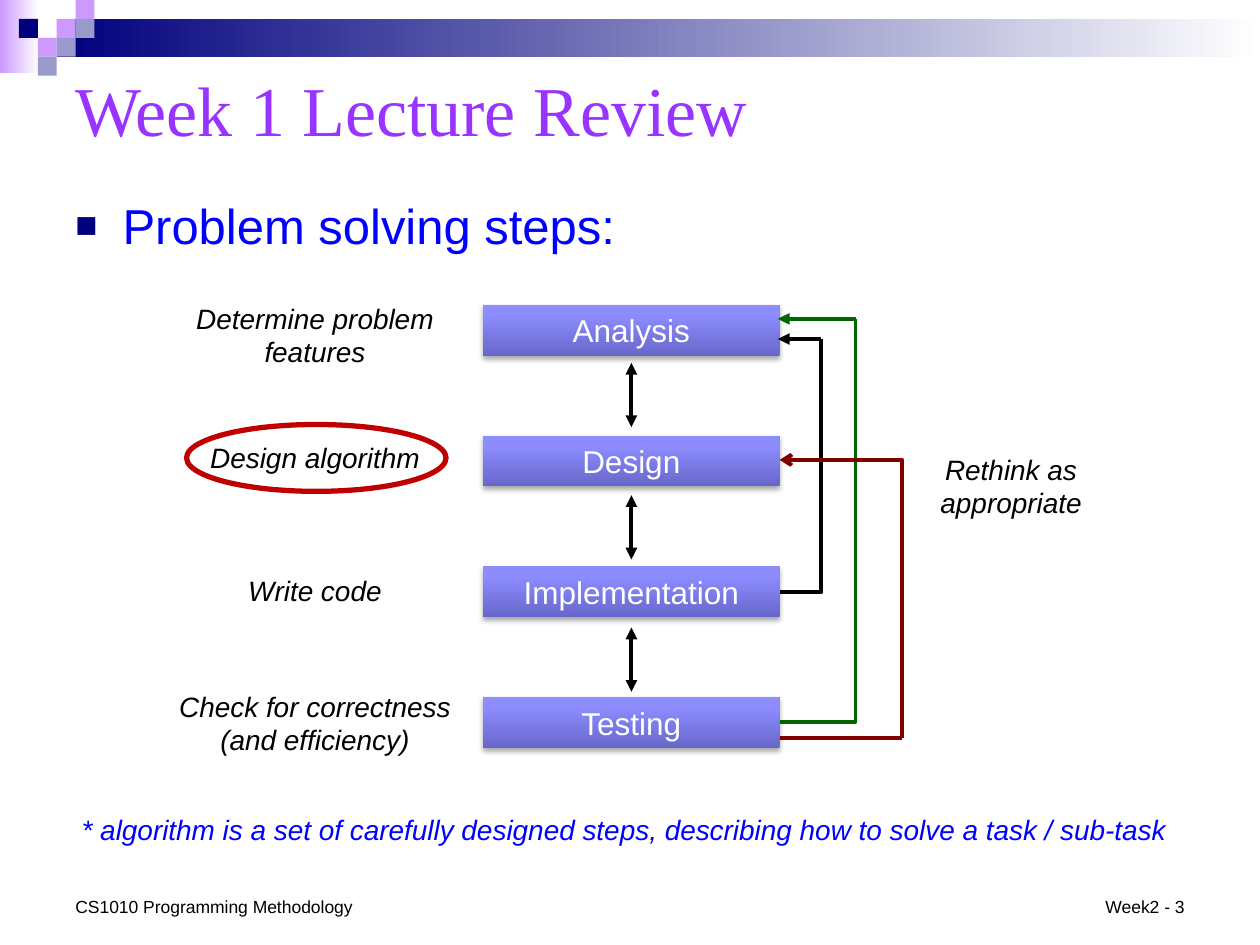
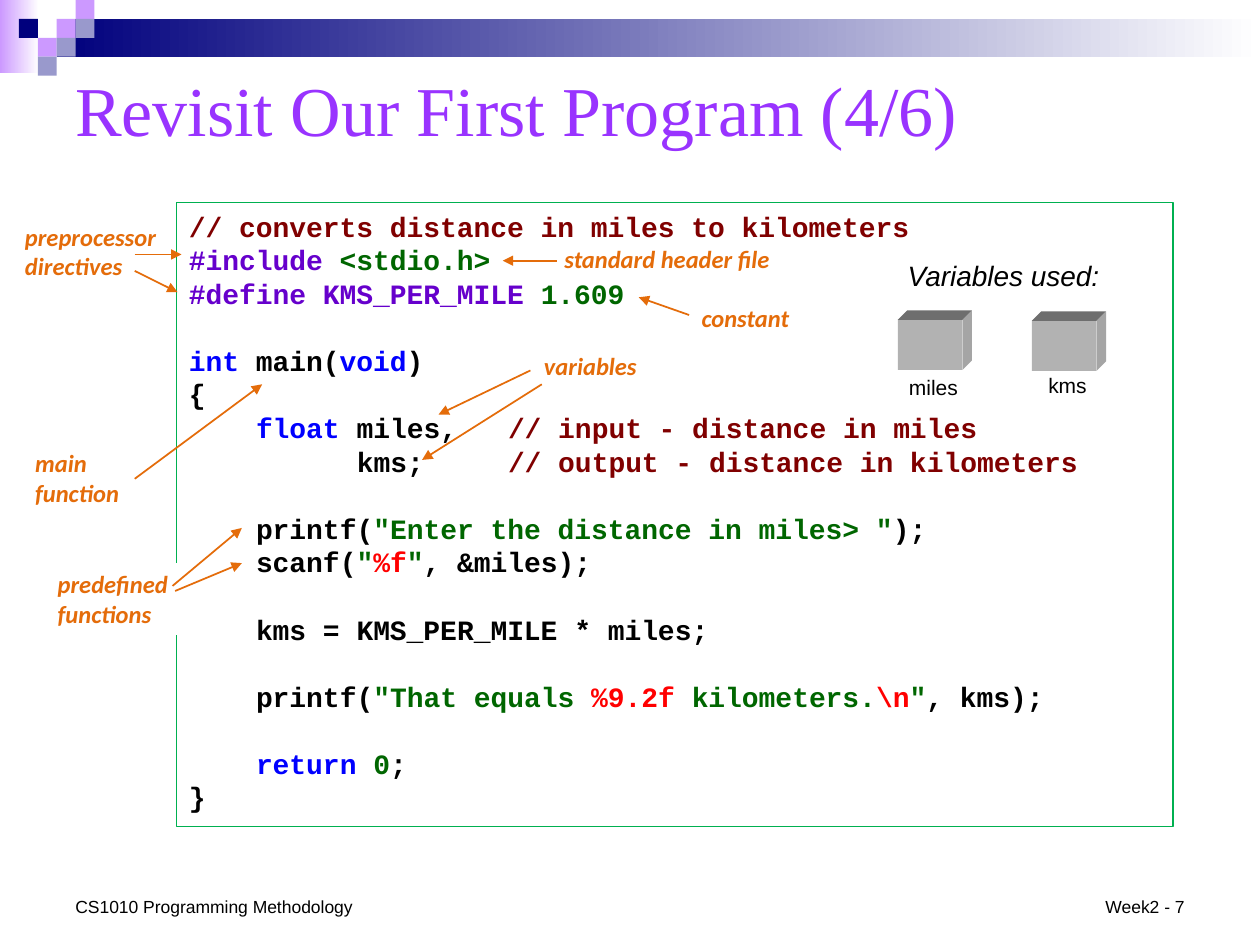
import lxml.etree
import pptx
import pptx.dml.color
import pptx.enum.shapes
import pptx.enum.text
import pptx.oxml.ns
import pptx.util

Pt = pptx.util.Pt
qn = pptx.oxml.ns.qn
KIND = pptx.enum.shapes.MSO_SHAPE
LINK = pptx.enum.shapes.MSO_CONNECTOR
ALIGN = pptx.enum.text.PP_ALIGN
ANCHOR = pptx.enum.text.MSO_ANCHOR

HUES = {
    "black": "000000", "white": "FFFFFF", "navy": "00007D", "lilac": "CC99FF",
    "steel": "9999CC", "title": "9933FF", "blue": "0000FF", "deep": "6767CA",
    "pale": "8C8CFF", "green": "006600", "maroon": "800000", "ring": "C00000",
    "frame": "00B050", "orange": "E46C0A", "purple": "6600CC", "red": "FF0000",
    "front": "B2B2B2", "top": "6E6E6E", "side": "A5A5A5",
}
TILES = [
    (3, 1, "lilac"), (4, 0, "lilac"), (4, 1, "steel"), (2, 2, "lilac"),
    (1, 1, "navy"), (3, 2, "steel"), (2, 3, "steel"),
]
STEPS = [
    ("Analysis", "Determine problem features", 0.5),
    ("Design", "Design algorithm", 80.4),
    ("Implementation", "Write code", 156),
    ("Testing", "Check for correctness (and efficiency)", 222.2),
]
CHAR = 9.6
LINE = 19.2
STOPS = (4, 10, 19)
CODE = [
    [[("maroon", "// converts distance in miles to kilometers")],
     [("purple", "#include "), ("green", "<stdio.h>")],
     [("purple", "#define KMS_PER_MILE "), ("green", "1.609")]],
    [[("blue", "int "), ("black", "main("), ("blue", "void"), ("black", ")")],
     [("black", "{")],
     [("blue", "\tfloat"), ("black", " miles,\t"),
      ("maroon", "// input - distance in miles")],
     [("black", "\t\tkms;\t"), ("maroon", "// output - distance in kilometers")]],
    [[("black", "\tprintf("), ("green", '"Enter the distance in miles> "'),
      ("black", ");")],
     [("black", "\tscanf("), ("green", '"'), ("red", "%f"), ("green", '"'),
      ("black", ", &miles);")]],
    [[("black", "\tkms = KMS_PER_MILE * miles;")]],
    [[("black", "\tprintf("), ("green", '"That equals '), ("red", "%9.2f "),
      ("green", "kilometers."), ("red", "\\n"), ("green", '"'),
      ("black", ", kms);")]],
    [[("blue", "\treturn "), ("green", "0"), ("black", ";")],
     [("black", "}")]],
]
NOTES = [
    ("preprocessor directives", (-93.6, 7.2, 96.5, 41),
     [(-23.8, 38.9, 0.7, 51.1), (-23.8, 29.5, 2.9, 29.5)]),
    ("standard header file", (214.6, 20.2, 137.5, 25),
     [(217.4, 33.1, 186.5, 33.1)]),
    ("constant", (293, 54, 70, 25), [(293, 64.1, 264.2, 54)]),
    ("main function", (-87.8, 136.8, 64, 41), [(-23.8, 157.7, 49, 103.7)]),
    ("variables", (203, 81.4, 78, 25),
     [(202.3, 95.8, 149.8, 121), (208.8, 103.7, 140.4, 146.9)]),
    ("predefined functions", (-74.9, 205.9, 79.2, 41),
     [(-2.2, 218.9, 37.4, 185.8), (-0.7, 221.8, 37.4, 205.9)]),
]


def hue(name):
    return pptx.dml.color.RGBColor.from_string(HUES[name])


def shift(box, x, y, w, h):
    return box[0] + x, box[1] + y, w, h


def style(para, size, color=None, face="Arial", bold=False, slant=False):
    font = para.font
    font.size, font.name, font.bold, font.italic = Pt(size), face, bold, slant
    if color:
        font.color.rgb = hue(color)


def lead(para, tag, **attrs):
    item = lxml.etree.Element(qn(tag), attrs)
    para.font
    para._p.pPr.find(qn("a:defRPr")).addprevious(item)
    return item


def put(shape, text, size, color, align=ALIGN.LEFT, anchor=ANCHOR.TOP, **look):
    frame = shape.text_frame
    frame.word_wrap = True
    frame.vertical_anchor = anchor
    para = frame.paragraphs[0]
    para.text = text
    para.alignment = align
    style(para, size, color, **look)
    return para


def label(slide, box, *args, **look):
    shape = slide.shapes.add_textbox(*map(Pt, box))
    put(shape, *args, **look)
    return shape


def paint(shape, color):
    shape.fill.solid()
    shape.fill.fore_color.rgb = hue(color)


def blend(shape, first, last, angle=0, end=1):
    shape.fill.gradient()
    shape.fill.gradient_angle = angle
    for stop, color, place in zip(shape.fill.gradient_stops, (first, last), (0, end)):
        stop.color.rgb = hue(color)
        stop.position = place


def block(slide, box, color=None, kind=KIND.RECTANGLE):
    shape = slide.shapes.add_shape(kind, *map(Pt, box))
    shape.shadow.inherit = False
    shape.line.fill.background()
    if color:
        paint(shape, color)
    else:
        shape.fill.background()
    return shape


def link(slide, box, ends, color, width, head=None, tail=None, bent=False):
    left, top = box[:2]
    spots = [Pt(a + b) for a, b in zip(ends, (left, top, left, top))]
    line = slide.shapes.add_connector(LINK.ELBOW if bent else LINK.STRAIGHT, *spots)
    line.line.color.rgb = hue(color)
    line.line.width = Pt(width)
    props = line.element.spPr
    if bent:
        props.find(qn("a:prstGeom")).set("prst", "bentConnector2")
    for tag, tip in (("a:headEnd", head), ("a:tailEnd", tail)):
        if tip:
            lxml.etree.SubElement(props.find(qn("a:ln")), qn(tag), type=tip)
    lxml.etree.SubElement(props, qn("a:effectLst"))


def shade(shape):
    drop = lxml.etree.SubElement(
        shape.element.spPr.find(qn("a:effectLst")), qn("a:outerShdw"),
        blurRad=str(Pt(3.1)), dist=str(Pt(1.8)), dir="5400000", rotWithShape="0")
    tint = lxml.etree.SubElement(drop, qn("a:srgbClr"), val=HUES["black"])
    lxml.etree.SubElement(tint, qn("a:alpha"), val="35000")


def base(deck, title, page):
    slide = deck.slides.add_slide(deck.slide_layouts[6])
    unit = 10.8
    blend(block(slide, (0, 0, 22.3, 41.8)), "lilac", "white")
    blend(block(slide, (3 * unit, unit, 720 - 3 * unit, 2 * unit)), "navy", "white")
    for col, row, color in TILES:
        block(slide, (col * unit, row * unit, unit, unit), color)
    label(slide, (36, 30.2, 648, 63.4), title, 40, "title",
          anchor=ANCHOR.MIDDLE, face="Times New Roman")
    label(slide, (36, 508.3, 200, 19.4), "CS1010 Programming Methodology",
          10, "black", anchor=ANCHOR.BOTTOM)
    label(slide, (584, 508.3, 100, 19.4), f"Week2 - {page}", 10, "black",
          ALIGN.RIGHT, ANCHOR.BOTTOM)
    return slide


def point(slide, box, text):
    shape = slide.shapes.add_textbox(*map(Pt, box))
    para = put(shape, text, 28, "blue")
    para.space_before = Pt(5.6)
    para._p.pPr.set("marL", str(Pt(27)))
    para._p.pPr.set("indent", str(Pt(-27)))
    tint = lead(para, "a:buClr")
    lxml.etree.SubElement(tint, qn("a:srgbClr"), val=HUES["navy"])
    lead(para, "a:buSzPct", val="75000")
    lead(para, "a:buFont", typeface="Arial")
    lead(para, "a:buChar", char="■")


def flow(slide, box):
    for i, (name, note, top) in enumerate(STEPS):
        step = block(slide, shift(box, 196, 6.2 + 74.7 * i, 169.5, 29))
        blend(step, "deep", "pale", 90, 0.8)
        shade(step)
        put(step, name, 18, "white", ALIGN.CENTER, ANCHOR.MIDDLE)
        label(slide, shift(box, 0, top, 200, 27), note, 16, "black",
              ALIGN.CENTER, slant=True)
        if i:
            start = 39.4 + 75.6 * (i - 1)
            link(slide, box, (280.8, start, 280.8, start + 36.7), "black", 2.25,
                 "triangle", "triangle")
    label(slide, shift(box, 441.3, 86.9, 113, 46), "Rethink as appropriate",
          16, "black", ALIGN.CENTER, slant=True)
    edge = 365.5
    for color, low, turn, high in (("black", 170.4, 389.4, 25.7),
                                   ("green", 244.6, 408.9, 14.2)):
        link(slide, box, (edge, low, turn, high), color, 2.25, bent=True)
        link(slide, box, (turn, high, edge - 1, high), color, 2.25, tail="triangle")
    link(slide, box, (edge, 253.9, 435.5, 253.9), "maroon", 2.25)
    link(slide, box, (edge, 94.8, 435.5, 253.9), "maroon", 2.25, head="arrow", bent=True)
    ring = block(slide, shift(box, 26.6, 74.6, 148.3, 38.2), kind=KIND.OVAL)
    ring.line.color.rgb = hue("ring")
    ring.line.width = Pt(3)


def code(slide, box):
    shape = block(slide, box, "white")
    shape.line.color.rgb = hue("frame")
    shape.line.width = Pt(0.75)
    frame = shape.text_frame
    frame.word_wrap = True
    frame.vertical_anchor = ANCHOR.TOP
    rows = [(part > 0 and i == 0, row)
            for part, rows in enumerate(CODE) for i, row in enumerate(rows)]
    for i, (gap, row) in enumerate(rows):
        para = frame.add_paragraph() if i else frame.paragraphs[0]
        para.alignment = ALIGN.LEFT
        para.line_spacing = Pt(LINE)
        para.space_before = Pt(LINE if gap else 0)
        style(para, 16, face="Courier New", bold=True)
        tabs = lead(para, "a:tabLst")
        for stop in STOPS:
            lxml.etree.SubElement(tabs, qn("a:tab"), pos=str(Pt(stop * CHAR)), algn="l")
        for color, text in row:
            run = para.add_run()
            run.text = text
            run.font.color.rgb = hue(color)


def notes(slide, box):
    for text, place, ends in NOTES:
        note = label(slide, shift(box, *place), text, 14, "orange",
                     face="Calibri", bold=True, slant=True)
        if text.startswith("predefined"):
            paint(note, "white")
        for end in ends:
            link(slide, box, end, "orange", 1, tail="triangle")


def facet(slide, color, spots):
    spots = [tuple(map(Pt, spot)) for spot in spots]
    path = slide.shapes.build_freeform(*spots[0])
    path.add_line_segments(spots[1:])
    shape = path.convert_to_shape()
    shape.shadow.inherit = False
    shape.line.fill.background()
    paint(shape, color)


def cube(slide, box):
    x, y, w, h = box
    d = 5.4
    block(slide, box, "front")
    facet(slide, "top", [(x, y), (x + d, y - d), (x + w + d, y - d), (x + w, y)])
    facet(slide, "side", [(x + w, y), (x + w + d, y - d),
                          (x + w + d, y + h - d), (x + w, y + h)])


def store(slide, box):
    label(slide, shift(box, 0, 0, 134, 27), "Variables used:", 16, "black",
          ALIGN.CENTER, slant=True)
    for i, name in enumerate(("miles", "kms")):
        left = 76.6 * i
        cube(slide, shift(box, 6.6 + left, 38.8 + 0.5 * i, 37, 28.6))
        label(slide, shift(box, left, 66.2 - 0.7 * i, 54, 18), name, 12, "black",
              ALIGN.CENTER)


def main():
    deck = pptx.Presentation()
    deck.slide_width, deck.slide_height = Pt(720), Pt(540)

    slide = base(deck, "Week 1 Lecture Review", 3)
    point(slide, (36, 108, 648, 41), "Problem solving steps:")
    flow(slide, (80, 168, 556, 276))
    label(slide, (39.6, 460.8, 648, 26.6),
          "* algorithm is a set of carefully designed steps, "
          "describing how to solve a task / sub-task", 16, "blue", slant=True)

    slide = base(deck, "Revisit Our First Program (4/6)", 7)
    area = (100.8, 115.9, 569.5, 356.4)
    code(slide, area)
    notes(slide, area)
    store(slide, (506.4, 144, 134, 85))

    deck.save("out.pptx")


if __name__ == "__main__":
    main()
